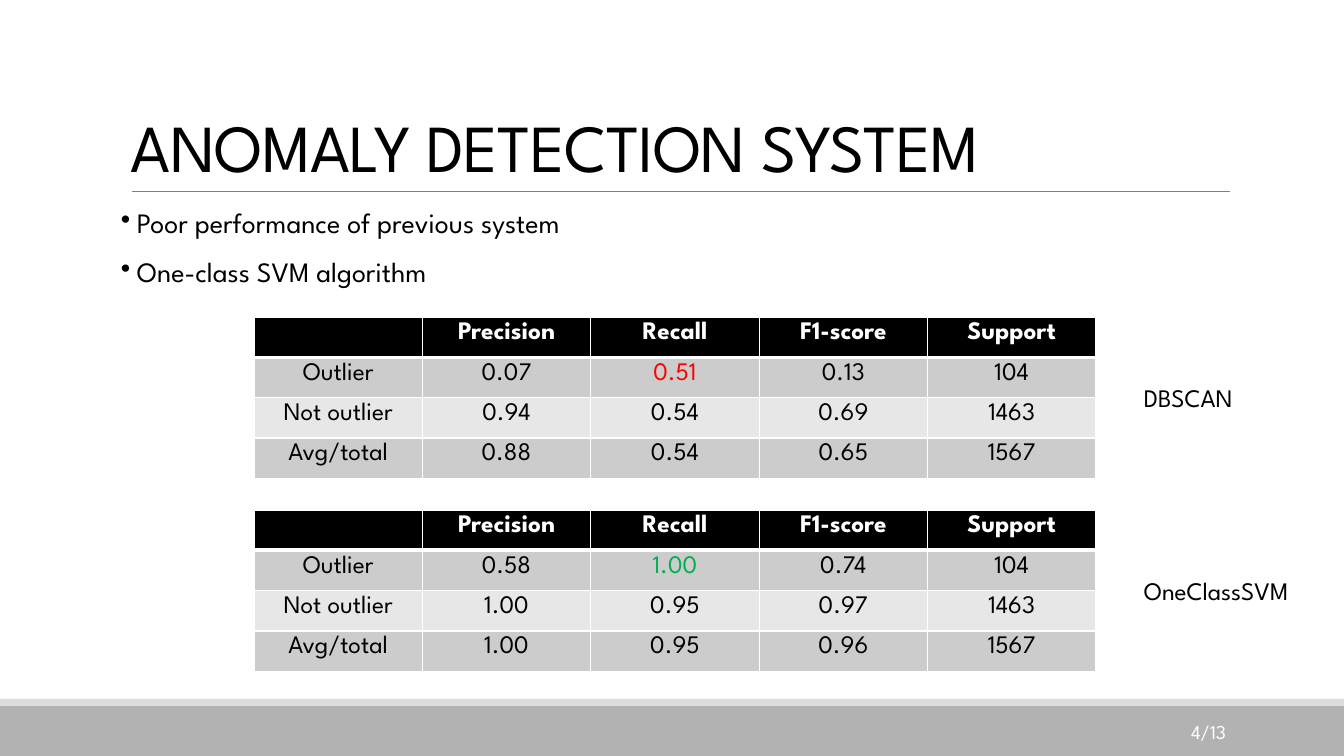
import pptx
import pptx.util
import pptx.dml.color
import pptx.enum.shapes
import pptx.enum.text
import pptx.oxml.ns
import lxml.etree

RGB = pptx.dml.color.RGBColor
BLACK = RGB(0x00, 0x00, 0x00)
WHITE = RGB(0xFF, 0xFF, 0xFF)
RED = RGB(0xFF, 0x00, 0x00)
GREEN = RGB(0x00, 0xB0, 0x50)
DARK = RGB(0xB2, 0xB2, 0xB2)
LIGHT = RGB(0xDD, 0xDD, 0xDD)
RULE = RGB(0x80, 0x80, 0x80)
BANDS = (RGB(0xCC, 0xCC, 0xCC), RGB(0xE7, 0xE7, 0xE7))

FONT = "League Spartan"
TITLE = "ANOMALY DETECTION SYSTEM"
POINTS = ("Poor performance of previous system", "One-class SVM algorithm")
PAGE = "4/13"
HEAD = ("", "Precision", "Recall", "F1-score", "Support")
MARKED = (1, 2)  # row and column of the outlier recall

# label, top of table, colour of the marked cell, rows
RESULTS = (
    ("DBSCAN", 317, RED, (
        ("Outlier", "0.07", "0.51", "0.13", "104"),
        ("Not outlier", "0.94", "0.54", "0.69", "1463"),
        ("Avg/total", "0.88", "0.54", "0.65", "1567"))),
    ("OneClassSVM", 510, GREEN, (
        ("Outlier", "0.58", "1.00", "0.74", "104"),
        ("Not outlier", "1.00", "0.95", "0.97", "1463"),
        ("Avg/total", "1.00", "0.95", "0.96", "1567"))),
)
FOOTER = ((706, 50, DARK), (699, 7, LIGHT))  # top, height, colour

WIDE, HIGH = 1344, 756
GRID_LEFT, GRID_WIDE, ROW = 254, 842, 32
LABEL_LEFT, LABEL_DROP = 1134, 60

ALIGN = pptx.enum.text.PP_ALIGN
ANCHOR = pptx.enum.text.MSO_ANCHOR


def px(count):
    return pptx.util.Emu(round(count * 914400 / 100.8))


def add_xml(parent, tag, **attrs):
    return lxml.etree.SubElement(parent, pptx.oxml.ns.qn(tag), **attrs)


def style(par, size, color, bold=False, align=ALIGN.LEFT):
    par.alignment = align
    for run in par.runs:
        run.font.name = FONT
        run.font.size = pptx.util.Pt(size)
        run.font.bold = bold
        run.font.color.rgb = color


def add_text(slide, box, text, size, color, align=ALIGN.LEFT,
             anchor=ANCHOR.TOP, wrap=True):
    frame = slide.shapes.add_textbox(*map(px, box)).text_frame
    frame.word_wrap = wrap
    frame.vertical_anchor = anchor
    frame.text = text
    for par in frame.paragraphs:
        style(par, size, color, align=align)
    return frame


def add_footer(slide):
    for top, high, color in FOOTER:
        bar = slide.shapes.add_shape(
            pptx.enum.shapes.MSO_SHAPE.RECTANGLE,
            0, px(top), px(WIDE), px(high))
        bar.shadow.inherit = False
        bar.fill.solid()
        bar.fill.fore_color.rgb = color
        bar.line.fill.background()
    add_text(slide, (1092, 712, 144, 39), PAGE, 14, WHITE,
             ALIGN.RIGHT, ANCHOR.MIDDLE)


def add_title(slide):
    line = slide.shapes.add_connector(
        pptx.enum.shapes.MSO_CONNECTOR.STRAIGHT,
        px(132), px(191), px(1230), px(191))
    line.line.color.rgb = RULE
    line.line.width = pptx.util.Pt(0.5)
    add_xml(line._element.spPr, "a:effectLst")
    frame = add_text(slide, (121, 31, 1109, 160), TITLE, 48, BLACK,
                     anchor=ANCHOR.BOTTOM)
    par = frame.paragraphs[0]
    par.line_spacing = 0.85
    par.runs[0].font._element.set("spc", "-50")


def add_points(slide):
    frame = add_text(slide, (121, 204, 1109, 100), "\n".join(POINTS),
                     20, BLACK)
    frame.margin_left = frame.margin_right = 0
    for par in frame.paragraphs:
        par.line_spacing = 0.9
        par.space_before = pptx.util.Pt(12)
        par.space_after = pptx.util.Pt(2)
        props = par._p.get_or_add_pPr()
        props.set("marL", str(px(16)))
        props.set("indent", str(-px(16)))
        add_xml(add_xml(props, "a:buClr"), "a:srgbClr", val=str(BLACK))
        add_xml(props, "a:buChar", char="•")


def set_borders(cell, head):
    """White edges, thicker below the header row."""
    props = cell._tc.get_or_add_tcPr()
    for spot, side in enumerate("LRTB"):
        width = 3 if head and side == "B" else 1
        edge = props.makeelement(pptx.oxml.ns.qn("a:ln" + side),
                                 {"w": str(pptx.util.Pt(width))})
        add_xml(add_xml(edge, "a:solidFill"), "a:srgbClr", val=str(WHITE))
        props.insert(spot, edge)


def add_result(slide, label, top, mark, rows):
    lines = (HEAD,) + rows
    grid = slide.shapes.add_table(
        len(lines), len(HEAD), px(GRID_LEFT), px(top),
        px(GRID_WIDE), px(ROW * len(lines))).table
    for r, line in enumerate(lines):
        grid.rows[r].height = px(ROW)
        head = r == 0
        for c, text in enumerate(line):
            cell = grid.cell(r, c)
            cell.fill.solid()
            cell.fill.fore_color.rgb = BLACK if head else BANDS[(r - 1) % 2]
            set_borders(cell, head)
            cell.text_frame.text = text
            par = cell.text_frame.paragraphs[0]
            color = WHITE if head else mark if (r, c) == MARKED else BLACK
            style(par, 18, color, head, ALIGN.CENTER)
            if not text:  # keeps the empty cell from stretching its row
                add_xml(par._p, "a:endParaRPr", sz="1200")
    add_text(slide, (LABEL_LEFT, top + LABEL_DROP, 192, 40), label,
             18, BLACK, wrap=False)


def main():
    deck = pptx.Presentation()
    deck.slide_width, deck.slide_height = px(WIDE), px(HIGH)
    slide = deck.slides.add_slide(deck.slide_layouts[6])
    add_footer(slide)
    add_title(slide)
    add_points(slide)
    for result in RESULTS:
        add_result(slide, *result)
    deck.save("out.pptx")


if __name__ == "__main__":
    main()
